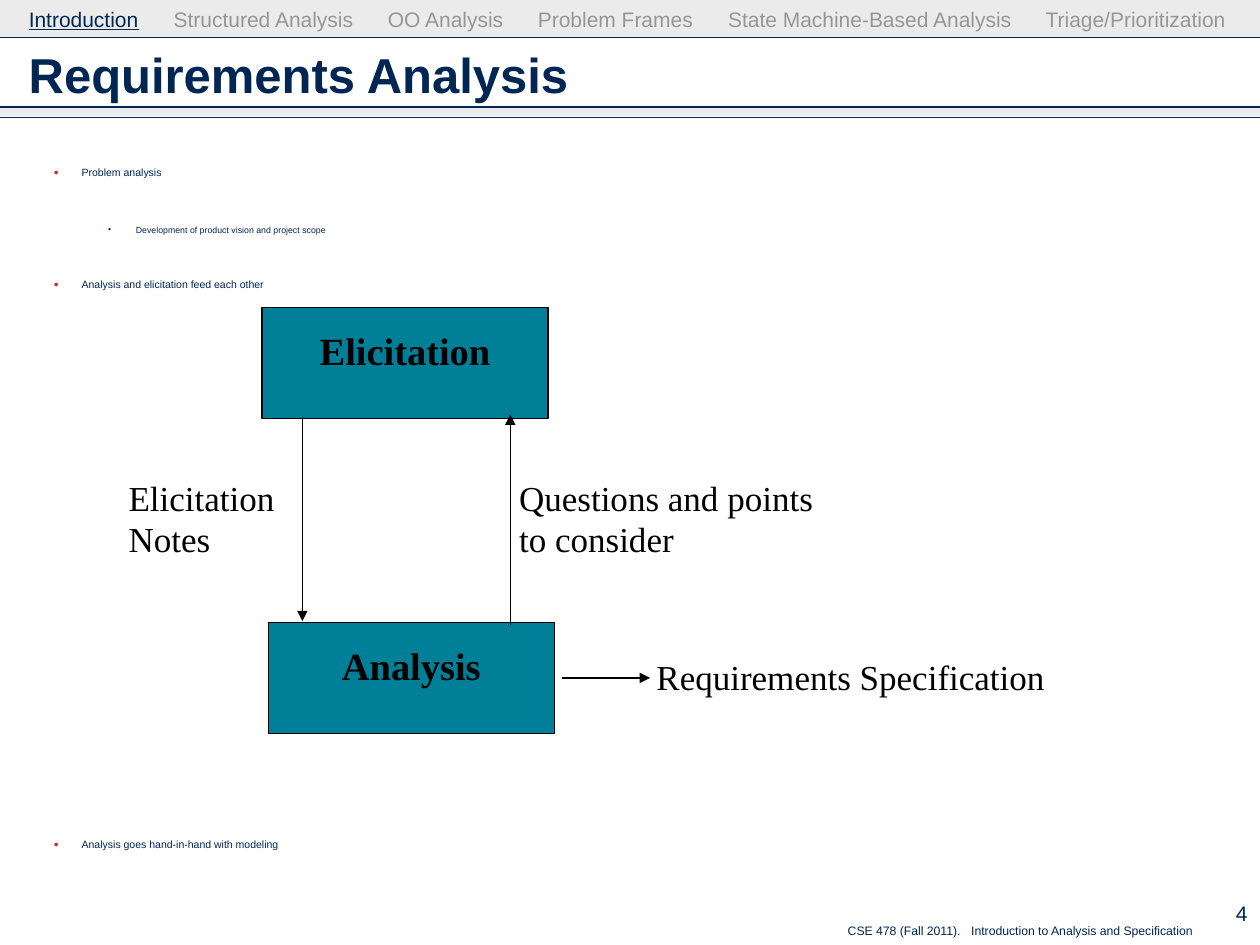
from dataclasses import dataclass

from lxml import etree
from pptx import Presentation
from pptx import util as u
from pptx.dml.color import RGBColor
from pptx.enum import shapes, text
from pptx.oxml.ns import qn

COLOURS = {
    "navy": "002654", "grey": "969696", "band": "CDCDCD",
    "red": "D62828", "teal": "007F99", "black": "000000",
}
SANS, SERIF = "Arial", "Times New Roman"

# The slide is a grid of 100 columns and 75 rows.
SLIDE_WIDTH, SLIDE_HEIGHT = u.Inches(10), u.Inches(7.5)
COLUMN, ROW = SLIDE_WIDTH / 100, SLIDE_HEIGHT / 75
BULLET_LINE, BULLET_GAP = 26, 6


@dataclass
class Area:
    column: float
    row: float
    columns: float
    rows: float

    def emu(self) -> tuple[int, ...]:
        return (round(self.column * COLUMN), round(self.row * ROW),
                round(self.columns * COLUMN), round(self.rows * ROW))


@dataclass
class Style:
    size: float
    font: str = SANS
    colour: str = "navy"
    bold: bool = False
    underline: bool = False


@dataclass
class Label:
    area: Area
    lines: tuple[str, ...]
    style: Style
    inset: float = 0
    spacing: float = 1.0
    anchor: text.MSO_ANCHOR = text.MSO_ANCHOR.TOP
    align: text.PP_ALIGN = text.PP_ALIGN.LEFT
    tabs: tuple[float, ...] = ()


@dataclass
class Line:
    start: tuple[float, float]
    end: tuple[float, float]
    colour: str
    arrow: bool = False


@dataclass
class Bullet:
    words: str
    level: int = 0
    skipped_lines: int = 0


def rgb(name: str) -> RGBColor:
    return RGBColor.from_string(COLOURS[name])


def add_xml(parent, tag: str, **attributes: str):
    return etree.SubElement(parent, qn(tag), attributes)


def style_run(run, style: Style) -> None:
    run.font.size, run.font.name = u.Pt(style.size), style.font
    run.font.bold, run.font.underline = style.bold, style.underline
    run.font.color.rgb = rgb(style.colour)


def set_insets(frame, across: float, down: float) -> None:
    """Insets are counted in columns and rows."""
    frame.margin_left = frame.margin_right = round(across * COLUMN)
    frame.margin_top = frame.margin_bottom = round(down * ROW)


def draw_label(slide, label: Label):
    frame = slide.shapes.add_textbox(*label.area.emu()).text_frame
    frame.word_wrap = True
    frame.vertical_anchor = label.anchor
    set_insets(frame, label.inset, label.inset / 2)
    frame.text = "\n".join(label.lines)
    for paragraph in frame.paragraphs:
        paragraph.alignment = label.align
        paragraph.line_spacing = label.spacing
        if label.tabs:
            stops = add_xml(paragraph._p.get_or_add_pPr(), "a:tabLst")
            for stop in label.tabs:
                add_xml(stops, "a:tab", pos=str(round(stop * COLUMN)), algn="l")
        for run in paragraph.runs:
            style_run(run, label.style)
    return frame


def draw_band(slide, area: Area) -> None:
    band = slide.shapes.add_shape(shapes.MSO_SHAPE.RECTANGLE, *area.emu())
    band.shadow.inherit = False
    band.line.fill.background()
    band.fill.solid()
    band.fill.fore_color.rgb = rgb("band")
    colour = band._element.spPr.find(qn("a:solidFill"))[0]
    add_xml(colour, "a:alpha", val="40000")


def draw_line(slide, line: Line) -> None:
    (x1, y1), (x2, y2) = line.start, line.end
    connector = slide.shapes.add_connector(
        shapes.MSO_CONNECTOR.STRAIGHT, round(x1 * COLUMN), round(y1 * ROW),
        round(x2 * COLUMN), round(y2 * ROW))
    connector.line.color.rgb = rgb(line.colour)
    connector.line.width = u.Pt(0.75)
    if line.arrow:
        add_xml(connector.line._get_or_add_ln(), "a:tailEnd", type="triangle")
    add_xml(connector._element.spPr, "a:effectLst")


def draw_activity(slide, name: str, column: float, row: float) -> None:
    box = slide.shapes.add_shape(
        shapes.MSO_SHAPE.RECTANGLE, *Area(column, row, 22.7, 8.8).emu())
    box.shadow.inherit = False
    box.fill.solid()
    box.fill.fore_color.rgb = rgb("teal")
    box.line.color.rgb = rgb("black")
    box.line.width = u.Pt(0.75)
    frame = box.text_frame
    set_insets(frame, 0, 0)
    frame.margin_bottom = round(2 * ROW)
    frame.vertical_anchor = text.MSO_ANCHOR.MIDDLE
    frame.text = name
    frame.paragraphs[0].alignment = text.PP_ALIGN.CENTER
    style_run(frame.paragraphs[0].runs[0], Style(22, SERIF, "black", bold=True))


def draw_bullets(slide, area: Area, bullets: list[Bullet]) -> None:
    frame = draw_label(slide, Label(
        area, tuple(b.words for b in bullets), Style(6), inset=1))
    for index, (paragraph, bullet) in enumerate(zip(frame.paragraphs, bullets)):
        top = bullet.level == 0
        paragraph.level = bullet.level
        paragraph.line_spacing = u.Pt(BULLET_LINE)
        if index:
            paragraph.space_before = u.Pt(
                BULLET_GAP + bullet.skipped_lines * (BULLET_LINE + BULLET_GAP))
        properties = paragraph._p.get_or_add_pPr()
        properties.set("marL", str(u.Inches(0.42 if top else 0.85)))
        properties.set("indent", str(-u.Inches(0.22)))
        colour = add_xml(properties, "a:buClr")
        add_xml(colour, "a:srgbClr", val=COLOURS["red" if top else "navy"])
        add_xml(properties, "a:buSzPct", val="130000" if top else "100000")
        add_xml(properties, "a:buFont", typeface=SANS)
        add_xml(properties, "a:buChar", char="•")
        paragraph.runs[0].font.size = u.Pt(6 if top else 5)


def draw_navigation(slide, current: str, others: list[str]) -> None:
    frame = draw_label(slide, Label(
        Area(1.3, 0.5, 97.9, 2.5), (current,),
        Style(12, underline=True), inset=1, tabs=(11.5, 28.5, 40.4, 55.5, 80.7)))
    frame.margin_top = 0
    for topic in others:
        run = frame.paragraphs[0].add_run()
        run.text = "\t" + topic
        style_run(run, Style(12, colour="grey"))


def main() -> None:
    deck = Presentation()
    deck.slide_width, deck.slide_height = SLIDE_WIDTH, SLIDE_HEIGHT
    slide = deck.slides.add_slide(deck.slide_layouts[6])
    note = Style(20, SERIF, "black")
    middle = text.MSO_ANCHOR.MIDDLE

    for band in (Area(0, 0, 100, 3), Area(0, 8.5, 100, 0.7)):
        draw_band(slide, band)
    for row in (3, 8.5, 9.3):
        draw_line(slide, Line((0, row), (100, row), "navy"))
    draw_navigation(slide, "Introduction", [
        "Structured Analysis", "OO Analysis", "Problem Frames",
        "State Machine-Based Analysis", "Triage/Prioritization"])
    draw_bullets(slide, Area(1.3, 10.1, 97.4, 61), [
        Bullet("Problem analysis"),
        Bullet("Development of product vision and project scope", level=1),
        Bullet("Analysis and elicitation feed each other"),
        Bullet("Analysis goes hand-in-hand with modeling", skipped_lines=9)])
    draw_activity(slide, "Elicitation", 20.8, 24.4)
    draw_activity(slide, "Analysis", 21.3, 49.4)
    for start, end in (((24, 33.1), (24, 49.3)), ((40.5, 49.6), (40.5, 32.9)),
                       ((44.6, 53.8), (51.6, 53.8))):
        draw_line(slide, Line(start, end, "black", arrow=True))
    for label in (
        Label(Area(1.3, 2.6, 97.4, 6.6), ("Requirements Analysis",),
              Style(28, bold=True), inset=1, anchor=middle),
        Label(Area(10.2, 38, 13.1, 6.5), ("Elicitation", "Notes"), note, spacing=0.97),
        Label(Area(41.2, 38, 25, 6.5), ("Questions and points", "to consider"),
              note, spacing=0.97),
        Label(Area(52.1, 52.2, 32, 3.2), ("Requirements Specification",),
              note, spacing=0.97),
        Label(Area(66.3, 72.8, 30, 2.2),
              ("CSE 478 (Fall 2011).\tIntroduction to Analysis and Specification",),
              Style(7), inset=1, tabs=(9.8,)),
        Label(Area(93, 70.8, 7, 3.4), ("4",), Style(12), inset=1,
              anchor=middle, align=text.PP_ALIGN.RIGHT),
    ):
        draw_label(slide, label)
    deck.save("out.pptx")


if __name__ == "__main__":
    main()
